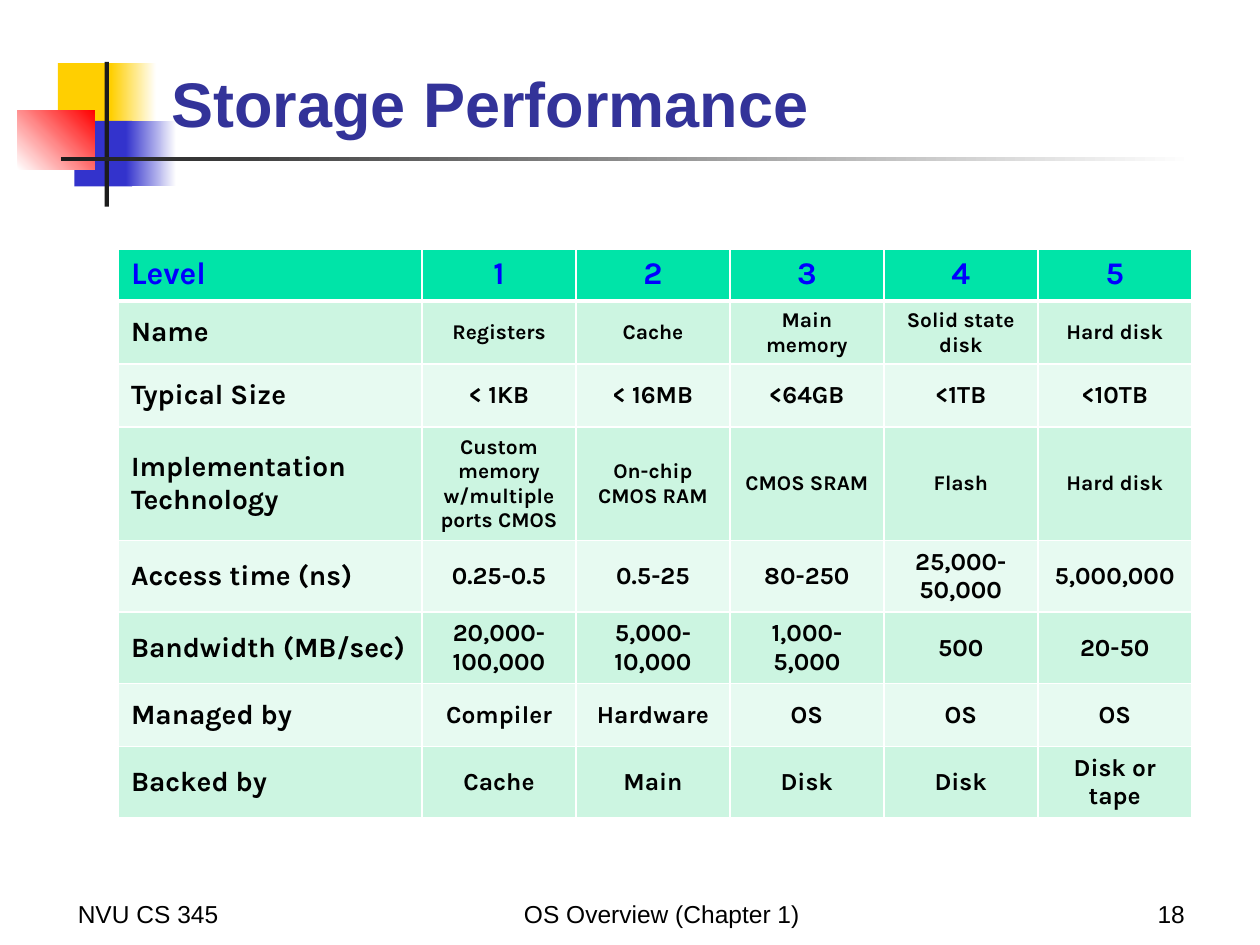
from dataclasses import dataclass

from lxml.etree import SubElement
from pptx import Presentation
from pptx.dml.color import RGBColor
from pptx.enum.shapes import MSO_SHAPE
from pptx.enum.text import MSO_ANCHOR, MSO_AUTO_SIZE, PP_ALIGN
from pptx.oxml.ns import qn
from pptx.util import Pt


@dataclass
class Block:
    left: float
    top: float
    width: float
    height: float
    color: str
    end: str = ""
    angle: float = 0


@dataclass
class Footer:
    left: float
    width: float
    text: str
    align: PP_ALIGN


@dataclass
class Row:
    label: str
    size: float
    values: list[str]


BLOCKS = [
    Block(33.1, 36, 34.6, 37.4, "FFCF01"),
    Block(63.4, 36, 25.9, 37.4, "FFCF01", "FFFFFF"),
    Block(42.5, 69.1, 33.1, 37.4, "3333CC"),
    Block(72, 69.1, 28.8, 37.4, "3333CC", "FFFFFF"),
    Block(10, 63, 44.2, 33.8, "FFFFFF", "FF0000", 45),
    Block(59.8, 35.3, 2.4, 82.8, "1C1C1C"),
    Block(34.6, 89.5, 648, 2.3, "1C1C1C", "FFFFFF"),
]
FOOTERS = [
    Footer(37.4, 150, "NVU CS 345", PP_ALIGN.LEFT),
    Footer(264.2, 228, "OS Overview (Chapter 1)", PP_ALIGN.CENTER),
    Footer(534.2, 150, "18", PP_ALIGN.RIGHT),
]
ROWS = [
    Row("Level", 18, ["1", "2", "3", "4", "5"]),
    Row("Name", 12, ["Registers", "Cache", "Main memory", "Solid state disk", "Hard disk"]),
    Row("Typical Size", 14, ["< 1KB", "< 16MB", "<64GB", "<1TB", "<10TB"]),
    Row("Implementation\nTechnology", 12,
        ["Custom memory w/multiple ports CMOS", "On-chip CMOS RAM", "CMOS SRAM", "Flash", "Hard disk"]),
    Row("Access time (ns)", 14, ["0.25-0.5", "0.5-25", "80-250", "25,000-50,000", "5,000,000"]),
    Row("Bandwidth (MB/sec)", 14,
        ["20,000-100,000", "5,000-10,000", "1,000-5,000", "500", "20-50"]),
    Row("Managed by", 14, ["Compiler", "Hardware", "OS", "OS", "OS"]),
    Row("Backed by", 14, ["Cache", "Main", "Disk", "Disk", "Disk or tape"]),
]


def rgb(color: str) -> RGBColor:
    """Turn a hex string into a colour."""
    return RGBColor.from_string(color)


def write(tf, text: str, size: float, color: str, font: str, bold: bool, align: PP_ALIGN) -> None:
    """Set the text of a frame and format every run."""
    tf.text = text
    for p in tf.paragraphs:
        p.alignment = align
        for r in p.runs:
            r.font.name = font
            r.font.size = Pt(size)
            r.font.bold = bold
            r.font.color.rgb = rgb(color)


def draw_block(s, block: Block) -> None:
    """Draw a plain or gradient rectangle."""
    sp = s.shapes.add_shape(MSO_SHAPE.RECTANGLE, Pt(block.left), Pt(block.top),
                            Pt(block.width), Pt(block.height))
    sp.shadow.inherit = False
    sp.line.fill.background()
    if not block.end:
        sp.fill.solid()
        sp.fill.fore_color.rgb = rgb(block.color)
        return
    sp.fill.gradient()
    sp.fill.gradient_angle = block.angle
    for stop, color in zip(sp.fill.gradient_stops, (block.color, block.end)):
        stop.color.rgb = rgb(color)


def draw_title(s, text: str) -> None:
    """Place the title in front of the blocks."""
    sp = s.shapes.title
    sp.element.getparent().append(sp.element)
    sp.left, sp.top, sp.width, sp.height = Pt(90.7), Pt(15.1), Pt(613.4), Pt(68.4)
    tf = sp.text_frame
    write(tf, text, 36, "333399", "Arial", True, PP_ALIGN.LEFT)
    tf.vertical_anchor = MSO_ANCHOR.BOTTOM
    tf.auto_size = MSO_AUTO_SIZE.NONE


def draw_footer(s, footer: Footer) -> None:
    """Draw one footer text."""
    tf = s.shapes.add_textbox(Pt(footer.left), Pt(498.2), Pt(footer.width), Pt(36)).text_frame
    tf.word_wrap = True
    tf.vertical_anchor = MSO_ANCHOR.BOTTOM
    write(tf, footer.text, 14, "000000", "Arial", False, footer.align)


def set_borders(cell, top: float, bottom: float) -> None:
    """Give a cell white borders with the given top and bottom widths."""
    props = cell._tc.get_or_add_tcPr()
    for tag, width in (("a:lnL", 1), ("a:lnR", 1), ("a:lnT", top), ("a:lnB", bottom)):
        line = SubElement(props, qn(tag), w=str(Pt(width)))
        fill = SubElement(line, qn("a:solidFill"))
        SubElement(fill, qn("a:srgbClr"), val="FFFFFF")


def draw_table(s, rows: list[Row]) -> None:
    """Draw the banded table of storage levels."""
    count = len(rows[0].values) + 1
    table = s.shapes.add_table(len(rows), count, Pt(67.7), Pt(142.6), Pt(613.4), Pt(281.5)).table
    for i, column in enumerate(table.columns):
        column.width = Pt(87.98 if i else 173.5)
    for i, row in enumerate(rows):
        table.rows[i].height = Pt(36 if i else 29.5)
        color = "000000" if i else "0000FF"
        band = ("CCF5E1" if i % 2 else "E7FAF1") if i else "00E4A8"
        for j, text in enumerate([row.label, *row.values]):
            cell = table.cell(i, j)
            size = row.size if j or not i else 16
            align = PP_ALIGN.CENTER if j else PP_ALIGN.LEFT
            write(cell.text_frame, text, size, color, "Karla", True, align)
            cell.vertical_anchor = MSO_ANCHOR.MIDDLE if i else MSO_ANCHOR.TOP
            set_borders(cell, 3 if i == 1 else 1, 1 if i else 3)
            cell.fill.solid()
            cell.fill.fore_color.rgb = rgb(band)


def main() -> None:
    """Build and save the slide."""
    prs = Presentation()
    prs.slide_width, prs.slide_height = Pt(720), Pt(540)
    s = prs.slides.add_slide(prs.slide_layouts[5])
    for block in BLOCKS:
        draw_block(s, block)
    draw_title(s, "Storage Performance")
    for footer in FOOTERS:
        draw_footer(s, footer)
    draw_table(s, ROWS)
    prs.save("out.pptx")


if __name__ == "__main__":
    main()
